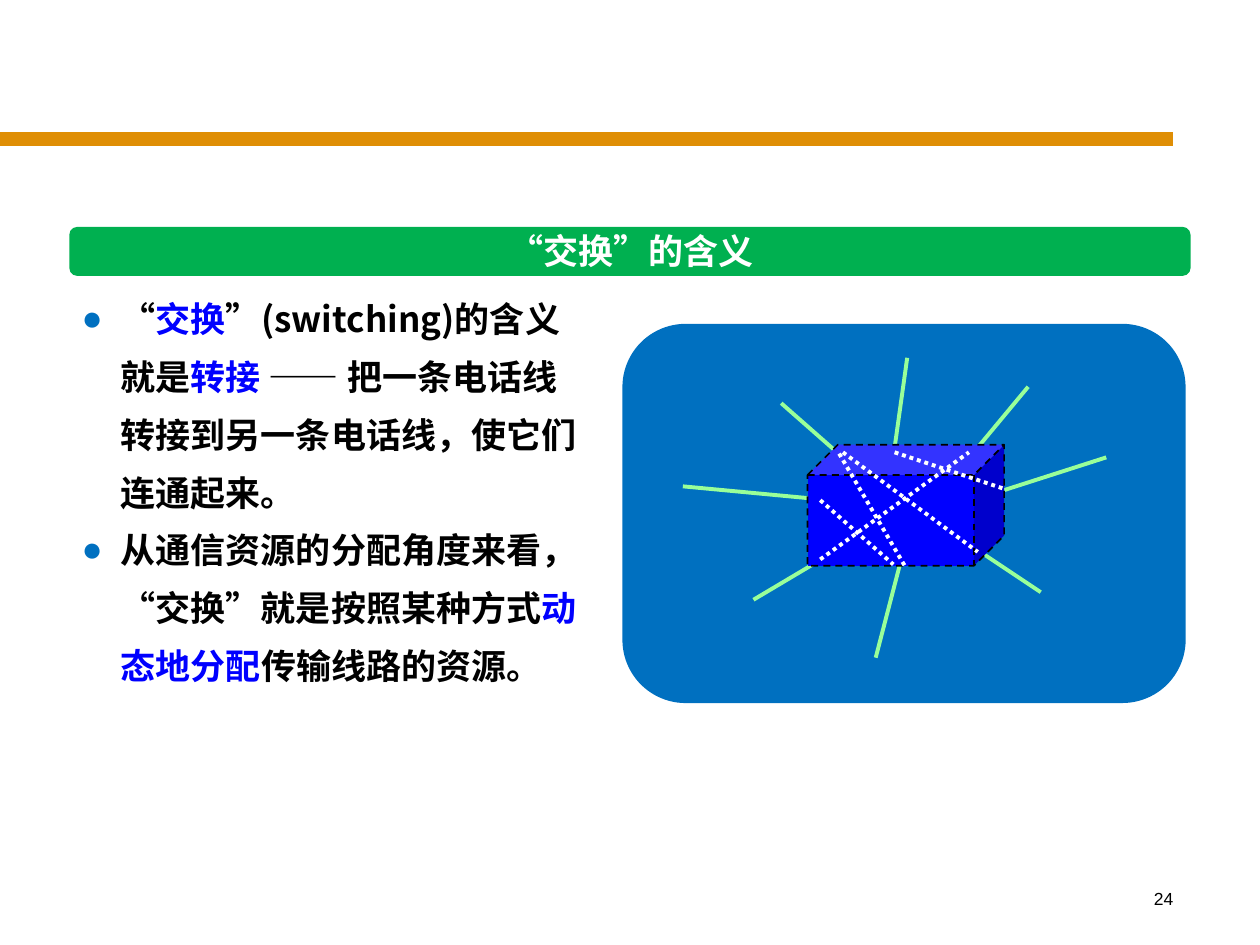
from pptx import Presentation
from pptx.dml.color import RGBColor
from pptx.enum import dml, shapes, text
from pptx.oxml import ns, xmlchemy
from pptx.util import Inches, Pt

ORANGE = RGBColor(0xDF, 0x8E, 0x05)
GREEN = RGBColor(0x00, 0xB0, 0x50)
PALE_GREEN = RGBColor(0x99, 0xFF, 0x99)
PANEL_BLUE = RGBColor(0x00, 0x70, 0xC0)
BLUE = RGBColor(0x00, 0x00, 0xFF)
BLACK = RGBColor(0x00, 0x00, 0x00)
WHITE = RGBColor(0xFF, 0xFF, 0xFF)
CJK = "Noto Sans CJK SC"
LATIN = "Arial"
SHAPE = shapes.MSO_SHAPE
ALIGN = text.PP_ALIGN
DASH = dml.MSO_LINE

MEANING = [("“", BLACK), ("交换", BLUE), ("”(switching)的含义就是", BLACK),
           ("转接 ", BLUE),
           ("—— 把一条电话线转接到另一条电话线，使它们连通起来。", BLACK)]
RESOURCES = [("从通信资源的分配角度来看，“交换”就是按照某种方式", BLACK),
             ("动态地分配", BLUE), ("传输线路的资源。", BLACK)]

PHONE_LINES = [(6.2, 3.2, 6.95, 3.86), (5.42, 3.86, 6.8, 3.99),
               (5.98, 4.76, 7.04, 4.13), (6.95, 5.22, 7.21, 4.22),
               (8.26, 4.7, 7.51, 4.2), (7.07, 3.77, 7.2, 2.84),
               (7.62, 3.72, 8.16, 3.07), (7.97, 3.89, 8.78, 3.63)]
SWITCH_PATHS = [(6.69, 3.59, 7.76, 4.38), (7.1, 3.59, 7.97, 3.88),
                (6.51, 3.97, 7.09, 4.48), (6.51, 4.44, 7.69, 3.59),
                (6.66, 3.6, 7.18, 4.49)]


def add_xml(parent, tag, **attributes):
    child = xmlchemy.OxmlElement(tag)
    for name, value in attributes.items():
        child.set(name, value)
    parent.append(child)
    return child


def add_span(para, words, *, size=20, font=CJK, color=BLACK, bold=True):
    span = para.add_run()
    span.text = words
    span.font.size = Pt(size)
    span.font.bold = bold
    span.font.name = font
    span.font.color.rgb = color
    add_xml(span.font._element, "a:ea", typeface=CJK)


def make_bullet(para, mark, color, indent):
    properties = para._p.get_or_add_pPr()
    properties.set("marL", str(indent))
    properties.set("indent", str(-indent))
    add_xml(add_xml(properties, "a:buClr"), "a:srgbClr", val=str(color))
    add_xml(properties, "a:buFont", typeface=LATIN)
    add_xml(properties, "a:buChar", char=mark)


class Page:
    """The current slide and the way its elements are drawn."""

    def __init__(self, deck):
        self.shapes = deck.slides.add_slide(deck.slide_layouts[6]).shapes

    def line(self, ends, color, width=2.25, dash=None):
        line = self.shapes.add_connector(
            shapes.MSO_CONNECTOR.STRAIGHT, *map(Inches, ends))
        line.line.color.rgb = color
        line.line.width = Pt(width)
        if dash:
            line.line.dash_style = dash
        add_xml(line._element.find(ns.qn("p:spPr")), "a:effectLst")

    def shape(self, kind, place, fill):
        shape = self.shapes.add_shape(kind, *map(Inches, place))
        shape.shadow.inherit = False
        shape.fill.solid()
        shape.fill.fore_color.rgb = fill
        shape.line.fill.background()
        return shape

    def frame(self, place):
        frame = self.shapes.add_textbox(*map(Inches, place)).text_frame
        frame.word_wrap = True
        return frame

    def label(self, place, words, align, **style):
        para = self.frame(place).paragraphs[0]
        para.alignment = align
        add_span(para, words, **style)

    def bullets(self, place, items):
        frame = self.frame(place)
        for index, spans in enumerate(items):
            para = frame.add_paragraph() if index else frame.paragraphs[0]
            para.line_spacing = Pt(33)
            make_bullet(para, "●", PANEL_BLUE, Inches(0.31))
            for words, color in spans:
                add_span(para, words, color=color)


def main():
    deck = Presentation()
    deck.slide_width, deck.slide_height = Inches(10), Inches(7.5)
    page = Page(deck)

    page.line((0, 1.1, 9.31, 1.1), ORANGE, width=8)
    page.label((7.33, 7, 2.08, 0.5), "24", ALIGN.RIGHT,
               size=10, font=LATIN, bold=False)

    page.shape(SHAPE.ROUNDED_RECTANGLE, (0.55, 1.8, 8.9, 0.39), GREEN)
    page.label((3.51, 1.77, 3, 0.44), "“交换”的含义", ALIGN.CENTER,
               font=LATIN, color=WHITE)
    page.bullets((0.55, 2.19, 4.19, 3.34), [MEANING, RESOURCES])

    page.shape(SHAPE.ROUNDED_RECTANGLE, (4.94, 2.57, 4.47, 3.01), PANEL_BLUE)
    for ends in PHONE_LINES:
        page.line(ends, PALE_GREEN)
    switch = page.shape(SHAPE.CUBE, (6.41, 3.53, 1.56, 0.96), BLUE)
    switch.line.color.rgb = BLACK
    switch.line.width = Pt(1)
    switch.line.dash_style = DASH.DASH
    for ends in SWITCH_PATHS:
        page.line(ends, WHITE, dash=DASH.ROUND_DOT)

    deck.save("out.pptx")


if __name__ == "__main__":
    main()
